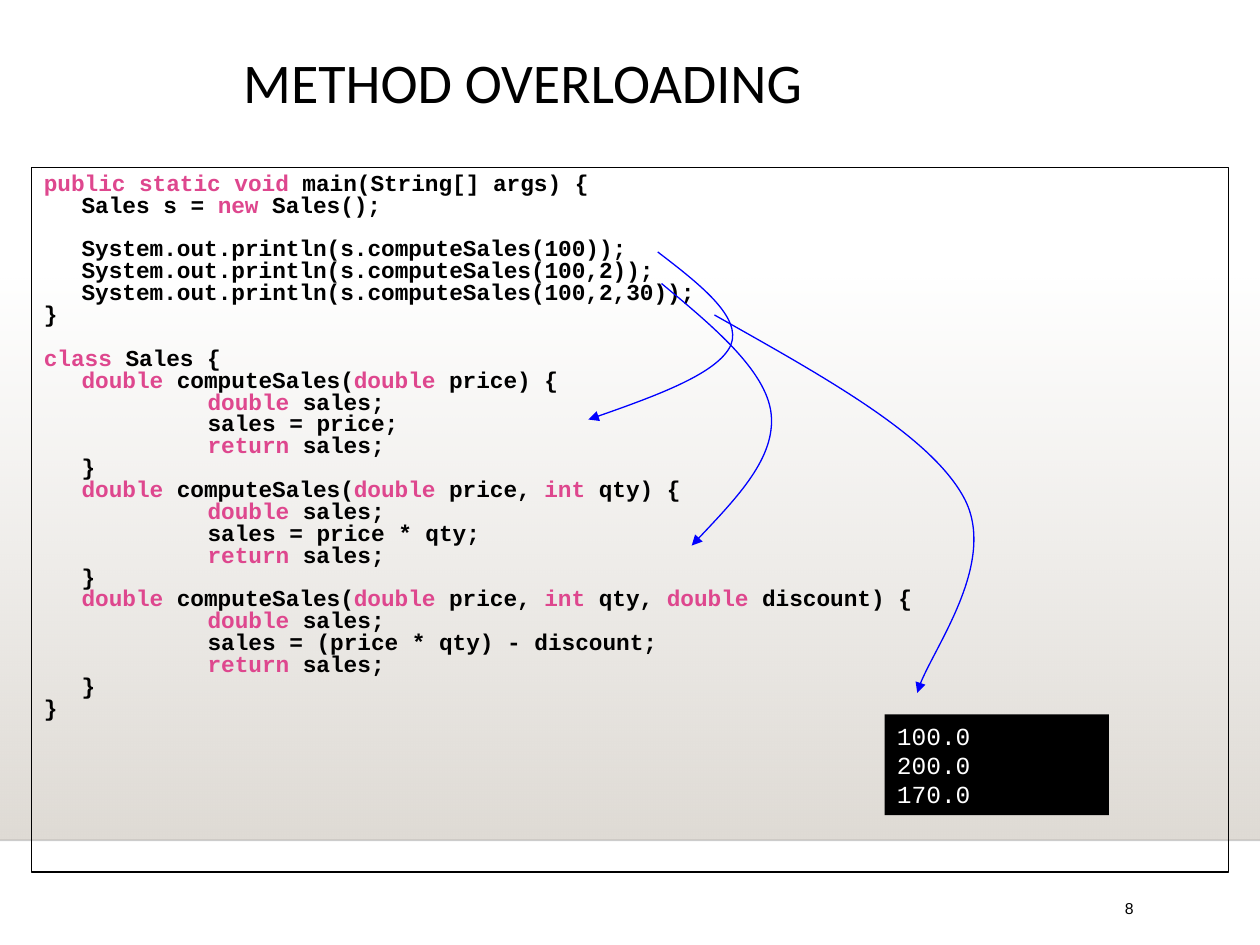
import pptx
import pptx.dml.color
import pptx.enum.shapes
import pptx.enum.text
import pptx.oxml
import pptx.oxml.ns
import pptx.util
from pptx.util import Inches, Pt

BLACK, WHITE, PINK, BLUE, SAND = "000000", "FFFFFF", "DE478E", "0000FF", "DFDBD5"
CODE_FONT = "Courier New"
LINE_PITCH = 12.5
LEVEL_INDENTS = [0, 0.3, 1.3]

# Keywords stand between backticks; leading tabs give the nesting level.
CODE = """\
`public static void` main(String[] args) {
\tSales s = `new` Sales();

\tSystem.out.println(s.computeSales(100));
\tSystem.out.println(s.computeSales(100,2));
\tSystem.out.println(s.computeSales(100,2,30));
}

`class` Sales {
\t`double` computeSales(`double` price) {
\t\t`double` sales;
\t\tsales = price;
\t\t`return` sales;
\t}
\t`double` computeSales(`double` price, `int` qty) {
\t\t`double` sales;
\t\tsales = price * qty;
\t\t`return` sales;
\t}
\t`double` computeSales(`double` price, `int` qty, `double` discount) {
\t\t`double` sales;
\t\tsales = (price * qty) - discount;
\t\t`return` sales;
\t}
}"""

# Each arrow: start, then two Bezier segments of three points.
CALL_ARROWS = [
    [(5.22, 2), (5.56, 2.26), (5.89, 2.52), (5.8, 2.74), (5.7, 2.96), (5.19, 3.15), (4.67, 3.33)],
    [(5.25, 2.25), (5.66, 2.59), (6.08, 2.94), (6.12, 3.28), (6.16, 3.63), (5.82, 3.98), (5.49, 4.33)],
    [(5.67, 2.5), (6.52, 2.98), (7.38, 3.45), (7.65, 3.95), (7.92, 4.45), (7.34, 5.24), (7.28, 5.5)],
]


def rgb(value):
    return pptx.dml.color.RGBColor.from_string(value)


def qn(tag):
    return pptx.oxml.ns.qn(tag)


def add_xml(parent, tag, **attributes):
    child = parent.makeelement(qn(tag), attributes)
    parent.append(child)
    return child


def format_run(run, font, size, color, bold=False):
    run.font.name = font
    run.font.size = Pt(size)
    run.font.color.rgb = rgb(color)
    run.font.bold = bold


def write(frame, text, font, size, color):
    frame.text = text
    frame.word_wrap = True
    frame.vertical_anchor = pptx.enum.text.MSO_ANCHOR.TOP
    for paragraph in frame.paragraphs:
        paragraph.alignment = pptx.enum.text.PP_ALIGN.LEFT
        for run in paragraph.runs:
            format_run(run, font, size, color)


def add_rectangle(slide, left, top, width, height):
    box = slide.shapes.add_shape(pptx.enum.shapes.MSO_SHAPE.RECTANGLE,
                                 Inches(left), Inches(top), Inches(width), Inches(height))
    box.shadow.inherit = False
    box.line.fill.background()
    return box


def add_backdrop(slide):
    """Band fading from clear to sand, closed by a faint line."""
    band = add_rectangle(slide, 0, 2.2, 10, 4.46)
    band.fill.gradient()
    band.fill.gradient_angle = 270
    for stop in band.fill.gradient_stops:
        stop.color.rgb = rgb(SAND)
    first_color = next(band._element.spPr.iter(qn("a:srgbClr")))
    add_xml(first_color, "a:alpha", val="0")

    edge = slide.shapes.add_connector(pptx.enum.shapes.MSO_CONNECTOR.STRAIGHT,
                                      0, Inches(6.67), Inches(10), Inches(6.67))
    edge.line.color.rgb = rgb("000001")
    edge.line.width = Pt(1)
    edge_color = next(edge._element.spPr.iter(qn("a:srgbClr")))
    add_xml(edge_color, "a:alpha", val="20000")
    add_xml(edge._element.spPr, "a:effectLst")


def add_title(slide, text):
    title = slide.shapes.title
    title.left, title.top, title.width, title.height = map(Inches, (1.83, 0.39, 7.19, 1.15))
    write(title.text_frame, text, "Calibri", 32, BLACK)
    title.text_frame.paragraphs[0].line_spacing = 0.9


def add_page_number(slide, number):
    box = slide.shapes.add_textbox(Inches(8.83), Inches(7.08), Inches(1.52), Inches(0.25))
    write(box.text_frame, number, "Arial", 9, BLACK)


def add_code(slide):
    listing = add_rectangle(slide, 0.25, 1.33, 9.5, 5.59)
    listing.fill.background()
    listing.line.color.rgb = rgb(BLACK)
    listing.line.width = Pt(1)
    frame = listing.text_frame
    frame.word_wrap = True
    frame.vertical_anchor = pptx.enum.text.MSO_ANCHOR.TOP

    paragraph = frame.paragraphs[0]
    gap = 0
    for index, line in enumerate(CODE.split("\n")):
        if not line:
            gap = LINE_PITCH
            continue
        if index:
            paragraph = frame.add_paragraph()
        paragraph.alignment = pptx.enum.text.PP_ALIGN.LEFT
        paragraph.line_spacing = 0.8
        paragraph.space_before = Pt(gap)
        gap = 0
        code = line.lstrip("\t")
        indent = LEVEL_INDENTS[len(line) - len(code)]
        properties = paragraph._p.get_or_add_pPr()
        properties.set("marL", str(Inches(indent)))
        properties.set("indent", "0")
        for position, part in enumerate(code.split("`")):
            if part:
                run = paragraph.add_run()
                run.text = part
                format_run(run, CODE_FONT, 13, PINK if position % 2 else BLACK, bold=True)


def add_console(slide, output):
    console = add_rectangle(slide, 7.02, 5.67, 1.78, 0.8)
    console.fill.solid()
    console.fill.fore_color.rgb = rgb(BLACK)
    write(console.text_frame, output, CODE_FONT, 14, WHITE)


def add_curved_arrow(slide, points):
    """Draw a Bezier arrow by joining every three line points into one curve."""
    start, *rest = [(Inches(x), Inches(y)) for x, y in points]
    builder = slide.shapes.build_freeform(*start)
    builder.add_line_segments(rest, close=False)
    arrow = builder.convert_to_shape()
    arrow.shadow.inherit = False
    arrow.fill.background()
    arrow.line.color.rgb = rgb(BLUE)
    arrow.line.width = Pt(0.75)
    add_xml(arrow.line._get_or_add_ln(), "a:tailEnd", type="triangle")

    outline = next(arrow._element.iter(qn("a:path")))
    segments = outline.findall(qn("a:lnTo"))
    for first in range(0, len(segments), 3):
        curve = add_xml(outline, "a:cubicBezTo")
        for segment in segments[first:first + 3]:
            curve.append(segment[0])
            outline.remove(segment)


def main():
    deck = pptx.Presentation()
    deck.slide_width, deck.slide_height = Inches(10), Inches(7.5)
    slide = deck.slides.add_slide(deck.slide_layouts[5])
    add_backdrop(slide)
    add_page_number(slide, "8")
    add_title(slide, "METHOD OVERLOADING")
    add_code(slide)
    add_console(slide, "100.0\n200.0\n170.0")
    for points in CALL_ARROWS:
        add_curved_arrow(slide, points)
    deck.save("out.pptx")


if __name__ == "__main__":
    main()
